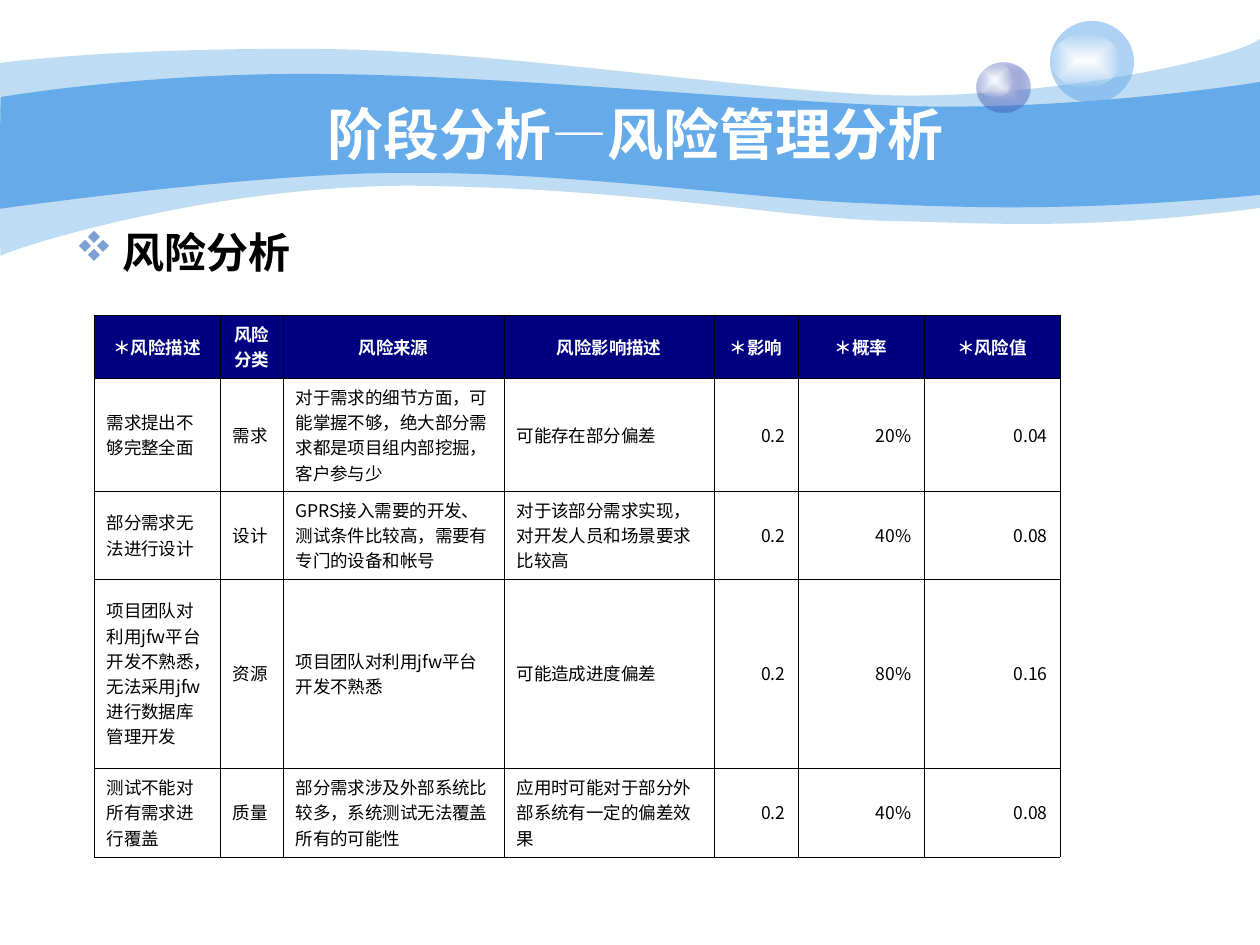
"""Build the risk management analysis slide with its wave banner and risk table."""
from lxml.etree import SubElement
from pptx import Presentation
from pptx.dml.color import RGBColor
from pptx.enum.shapes import MSO_SHAPE
from pptx.enum.text import MSO_ANCHOR, PP_ALIGN
from pptx.oxml import parse_xml
from pptx.oxml.ns import nsdecls, qn
from pptx.util import Pt

PX = 914400 / 126


def style_text(paragraph, font_name, size, color, bold):
    """Format every run of a paragraph."""
    for span in paragraph.runs:
        span.font.name = font_name
        span.font.size = Pt(size)
        span.font.bold = bold
        span.font.color.rgb = RGBColor.from_string(color)


def paint(shape, stops):
    """Fill a shape with one translucent colour or a rectangular gradient."""
    shape.shadow.inherit = False
    shape.line.fill.background()
    colors = [
        f'<a:srgbClr val="{color}"><a:alpha val="{opacity * 1000}"/></a:srgbClr>'
        for color, opacity in stops
    ]
    if len(colors) == 1:
        fill = f'<a:solidFill {nsdecls("a")}>{colors[0]}</a:solidFill>'
    else:
        fill = (
            f'<a:gradFill {nsdecls("a")}><a:gsLst><a:gs pos="0">{colors[0]}</a:gs>'
            f'<a:gs pos="100000">{colors[1]}</a:gs></a:gsLst><a:path path="rect">'
            '<a:fillToRect l="50000" t="50000" r="50000" b="50000"/></a:path></a:gradFill>'
        )
    shape._element.spPr.find(qn("a:ln")).addprevious(parse_xml(fill))


deck = Presentation()
deck.slide_width = round(1260 * PX)
deck.slide_height = round(945 * PX)
page = deck.slides.add_slide(deck.slide_layouts[5])

waves = [
    (41, (0, 63), [
        ((30, 59), (135, 48), (311, 49)),
        ((486, 49), (725, 88), (881, 95)),
        ((1036, 101), (1235, 59), (1260, 39)),
        ((1260, 208),),
        ((1081, 231), (992, 223), (888, 221)),
        ((784, 218), (649, 190), (432, 186)),
        ((217, 181), (5, 251), (1, 256)),
        ((-1, 262), (0, 95), (0, 63)),
    ]),
    (100, (1, 97), [
        ((3, 97), (139, 73), (312, 74)),
        ((486, 74), (750, 101), (905, 106)),
        ((1060, 111), (1230, 87), (1260, 82)),
        ((1260, 195),),
        ((1075, 212), (964, 208), (859, 203)),
        ((755, 199), (563, 171), (399, 173)),
        ((256, 173), (-3, 209), (-1, 209)),
        ((0, 209), (0, 97), (1, 97)),
    ]),
]
for opacity, start, segments in waves:
    outline = page.shapes.build_freeform(*start, scale=PX)
    outline.add_line_segments([point for segment in segments for point in segment])
    wave = outline.convert_to_shape()
    lines = iter(list(wave._element.iter(qn("a:lnTo"))))
    for segment in segments:
        steps = [next(lines) for point in segment]
        if len(steps) == 3:
            steps[0].tag = qn("a:cubicBezTo")
            for step in steps[1:]:
                steps[0].append(step[0])
                step.getparent().remove(step)
    paint(wave, [("65AAE9", opacity)])

shine = [("FFFFFF", 100), ("FEFEFE", 0)]
bubbles = [
    (977, 63, 53, 50, [("C6CCE8", 100), ("233DA9", 31)]),
    (977, 63, 35, 34, shine),
    (1050, 21, 84, 82, [("65AAE9", 53)]),
    (1050, 34, 70, 54, shine),
]
for left, top, width, height, stops in bubbles:
    bubble = page.shapes.add_shape(
        MSO_SHAPE.OVAL, *(round(length * PX) for length in (left, top, width, height))
    )
    paint(bubble, stops)

title = page.shapes.title
title.left, title.top, title.width, title.height = (
    round(length * PX) for length in (126, 94, 1019, 78)
)
title.text_frame.text = "阶段分析—风险管理分析"
title.text_frame.vertical_anchor = MSO_ANCHOR.MIDDLE
title.text_frame.paragraphs[0].alignment = PP_ALIGN.CENTER
style_text(title.text_frame.paragraphs[0], "Arial", 32, "FFFFFF", True)
page.shapes._spTree.append(title._element)

box = page.shapes.add_textbox(*(round(length * PX) for length in (63, 220, 882, 620)))
box.text_frame.word_wrap = True
box.text_frame.text = "风险分析"
heading = box.text_frame.paragraphs[0]
properties = heading._p.get_or_add_pPr()
properties.set("marL", str(round(47 * PX)))
properties.set("indent", str(round(-47 * PX)))
bullet_color = SubElement(properties, qn("a:buClr"))
SubElement(bullet_color, qn("a:srgbClr")).set("val", "7DA0D3")
SubElement(properties, qn("a:buFont"), typeface="Wingdings", charset="2")
SubElement(properties, qn("a:buChar")).set("char", "v")
style_text(heading, "Arial", 24, "000000", True)

rows = [
    ("＊风险描述", "风险分类", "风险来源", "风险影响描述", "＊影响", "＊概率", "＊风险值"),
    ("需求提出不够完整全面", "需求",
     "对于需求的细节方面，可能掌握不够，绝大部分需求都是项目组内部挖掘，客户参与少",
     "可能存在部分偏差", "0.2", "20%", "0.04"),
    ("部分需求无法进行设计", "设计",
     "GPRS接入需要的开发、测试条件比较高，需要有专门的设备和帐号",
     "对于该部分需求实现，对开发人员和场景要求比较高", "0.2", "40%", "0.08"),
    ("项目团队对利用jfw平台开发不熟悉，无法采用jfw进行数据库管理开发", "资源",
     "项目团队对利用jfw平台开发不熟悉", "可能造成进度偏差", "0.2", "80%", "0.16"),
    ("测试不能对所有需求进行覆盖", "质量",
     "部分需求涉及外部系统比较多，系统测试无法覆盖所有的可能性",
     "应用时可能对于部分外部系统有一定的偏差效果", "0.2", "40%", "0.08"),
]
column_widths = (126, 63, 221, 210, 84, 126, 136)
row_heights = (63, 113, 88, 189, 89)
table = page.shapes.add_table(
    len(rows), len(column_widths), round(94 * PX), round(315 * PX),
    round(sum(column_widths) * PX), round(sum(row_heights) * PX),
).table
for column, width in zip(table.columns, column_widths):
    column.width = round(width * PX)
for row, height in zip(table.rows, row_heights):
    row.height = round(height * PX)

for row_index, texts in enumerate(rows):
    is_header = row_index == 0
    for column_index, text in enumerate(texts):
        cell = table.cell(row_index, column_index)
        cell.vertical_anchor = MSO_ANCHOR.MIDDLE
        cell_properties = cell._tc.get_or_add_tcPr()
        for side in ("lnL", "lnR", "lnT", "lnB"):
            border = SubElement(cell_properties, qn(f"a:{side}"), w=str(Pt(0.45)))
            border_fill = SubElement(border, qn("a:solidFill"))
            SubElement(border_fill, qn("a:srgbClr")).set("val", "000000")
        if is_header:
            cell.fill.solid()
            cell.fill.fore_color.rgb = RGBColor.from_string("000080")
        else:
            cell.fill.background()
        cell.text_frame.text = text
        para = cell.text_frame.paragraphs[0]
        if is_header:
            para.alignment = PP_ALIGN.CENTER
        else:
            para.alignment = PP_ALIGN.RIGHT if column_index > 3 else PP_ALIGN.LEFT
        style_text(para, "Noto Sans CJK SC", 10, "FFFFFF" if is_header else "000000", is_header)

deck.save("out.pptx")
